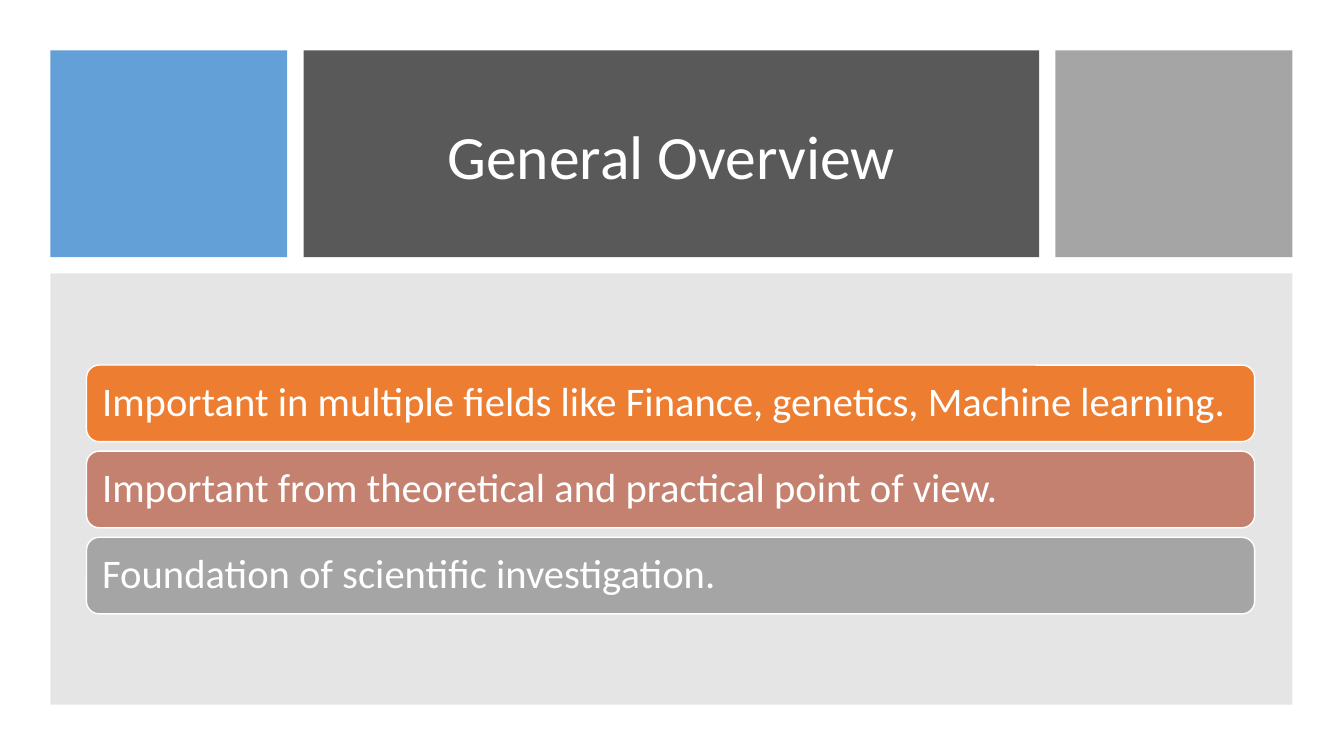
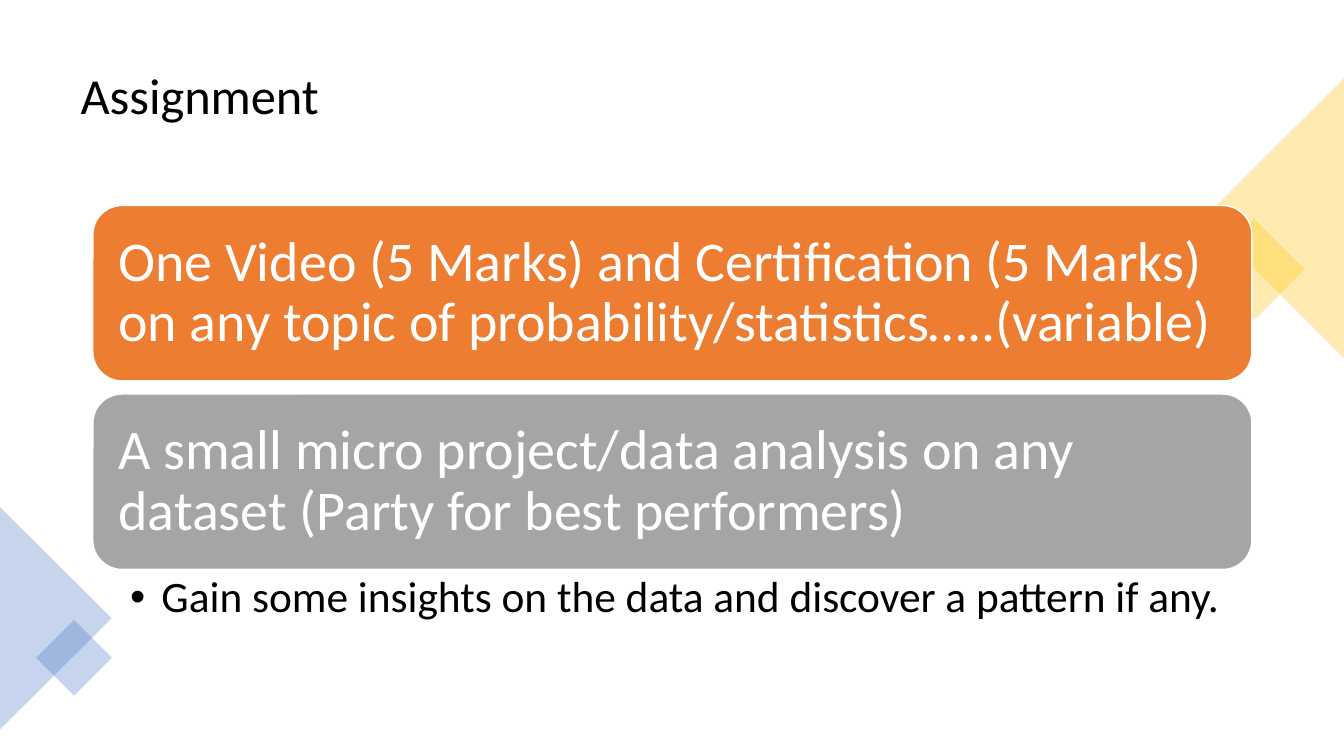
"""Build two slides: a general overview and an assignment."""
from lxml import etree
from pptx import Presentation
from pptx.dml.color import RGBColor
from pptx.enum.shapes import MSO_SHAPE
from pptx.enum.text import MSO_ANCHOR, PP_ALIGN
from pptx.oxml.ns import qn
from pptx.util import Cm, Pt

RECT = MSO_SHAPE.RECTANGLE
ROUND = MSO_SHAPE.ROUNDED_RECTANGLE
TRIANGLE = MSO_SHAPE.ISOSCELES_TRIANGLE
LEFT, CENTER = PP_ALIGN.LEFT, PP_ALIGN.CENTER
TOP, MIDDLE = MSO_ANCHOR.TOP, MSO_ANCHOR.MIDDLE

FONT = "Calibri"
COLORS = {
    "white": "FFFFFF", "black": "000000", "dark": "595959",
    "gray": "A5A5A5", "panel": "808080", "sky": "5B9BD5",
    "orange": "ED7D31", "rose": "C48170", "gold": "FFC000", "blue": "4472C4",
}


def add_box(s, kind, x, y, w, h, fill, opacity=100, rotation=0, outlined=False):
    sp = s.shapes.add_shape(kind, Cm(x), Cm(y), Cm(w), Cm(h))
    sp.shadow.inherit = False
    sp.rotation = rotation
    sp.fill.solid()
    sp.fill.fore_color.rgb = RGBColor.from_string(COLORS[fill])
    if opacity < 100:
        color = sp.fill._xPr.find(qn("a:solidFill"))[0]
        etree.SubElement(color, qn("a:alpha"), val=str(opacity * 1000))
    if outlined:
        sp.line.color.rgb = RGBColor.from_string(COLORS["white"])
        sp.line.width = Pt(1)
    else:
        sp.line.fill.background()
    return sp


def write(sp, text, size, color="white", align=LEFT, anchor=MIDDLE,
          insets=(0.25, 0.13, 0.25, 0.13), bullet_indent=0):
    tf = sp.text_frame
    tf.word_wrap = True
    tf.vertical_anchor = anchor
    tf.margin_left, tf.margin_top, tf.margin_right, tf.margin_bottom = map(Cm, insets)
    p = tf.paragraphs[0]
    p.alignment = align
    p.line_spacing = 0.9
    r = p.add_run()
    r.text = text
    r.font.name = FONT
    r.font.size = Pt(size)
    r.font.color.rgb = RGBColor.from_string(COLORS[color])
    if bullet_indent:
        pPr = p._p.get_or_add_pPr()
        pPr.set("marL", str(Cm(bullet_indent)))
        pPr.set("indent", str(-Cm(bullet_indent)))
        etree.SubElement(pPr, qn("a:buFont"), typeface="Arial")
        etree.SubElement(pPr, qn("a:buChar"), char="•")


prs = Presentation()
prs.slide_width, prs.slide_height = Cm(33.87), Cm(19.05)
blank = prs.slide_layouts[6]
overview, assignment = [prs.slides.add_slide(blank) for _ in range(2)]

margin, gap, band_h = 1.27, 0.41, 5.21
x = margin
for w, fill, opacity in ((5.97, "sky", 95), (18.54, "dark", 100), (5.97, "gray", 100)):
    add_box(overview, RECT, x, margin, w, band_h, fill, opacity)
    x += w + gap
add_box(overview, RECT, margin, margin + band_h + gap, x - gap - margin, 10.87, "panel", 20)

for kind, x, y, w, h, fill, rotation in (
    (RECT, 30.71, 5.89, 1.8, 1.8, "gold", 45),
    (TRIANGLE, 28.58, 3.73, 7.04, 3.53, "gold", 270),
    (TRIANGLE, -1.4, 14.17, 5.61, 2.82, "blue", 90),
    (RECT, 1.19, 15.9, 1.35, 1.35, "blue", 45),
):
    add_box(assignment, kind, x, y, w, h, fill, 30, rotation)

for s, text, x, y, w, h, size, color, align in (
    (overview, "General Overview", 8.46, 2.03, 16.92, 3.96, 44, "white", CENTER),
    (assignment, "Assignment", 1.78, 0.89, 30.3, 3.15, 36, "black", LEFT),
):
    title = s.shapes.add_textbox(Cm(x), Cm(y), Cm(w), Cm(h))
    write(title, text, size, color, align)

overview_cards = (
    ("orange", "Important in multiple fields like Finance, genetics, Machine learning."),
    ("rose", "Important from theoretical and practical point of view."),
    ("gray", "Foundation of scientific investigation."),
)
assignment_cards = (
    ("orange", "One Video (5 Marks) and Certification (5 Marks) "
               "on any topic of probability/statistics…..(variable)"),
    ("gray", "A small micro project/data analysis on any dataset (Party for best performers)"),
)
for s, cards, x, y, w, h, pitch, size, inset in (
    (overview, overview_cards, 2.18, 9.2, 29.44, 1.93, 2.17, 29, 0.3),
    (assignment, assignment_cards, 2.34, 5.18, 29.21, 4.42, 4.75, 40, 0.43),
):
    for i, (fill, text) in enumerate(cards):
        card = add_box(s, ROUND, x, y + i * pitch, w, h, fill, outlined=True)
        write(card, text, size, insets=(inset,) * 4)

note = assignment.shapes.add_textbox(Cm(2.34), Cm(14.35), Cm(29.21), Cm(2.69))
write(note, "Gain some insights on the data and discover a pattern if any.", 31,
      color="black", anchor=TOP, insets=(0.94, 0.15, 0.79, 0.15), bullet_indent=0.79)

prs.save("out.pptx")
